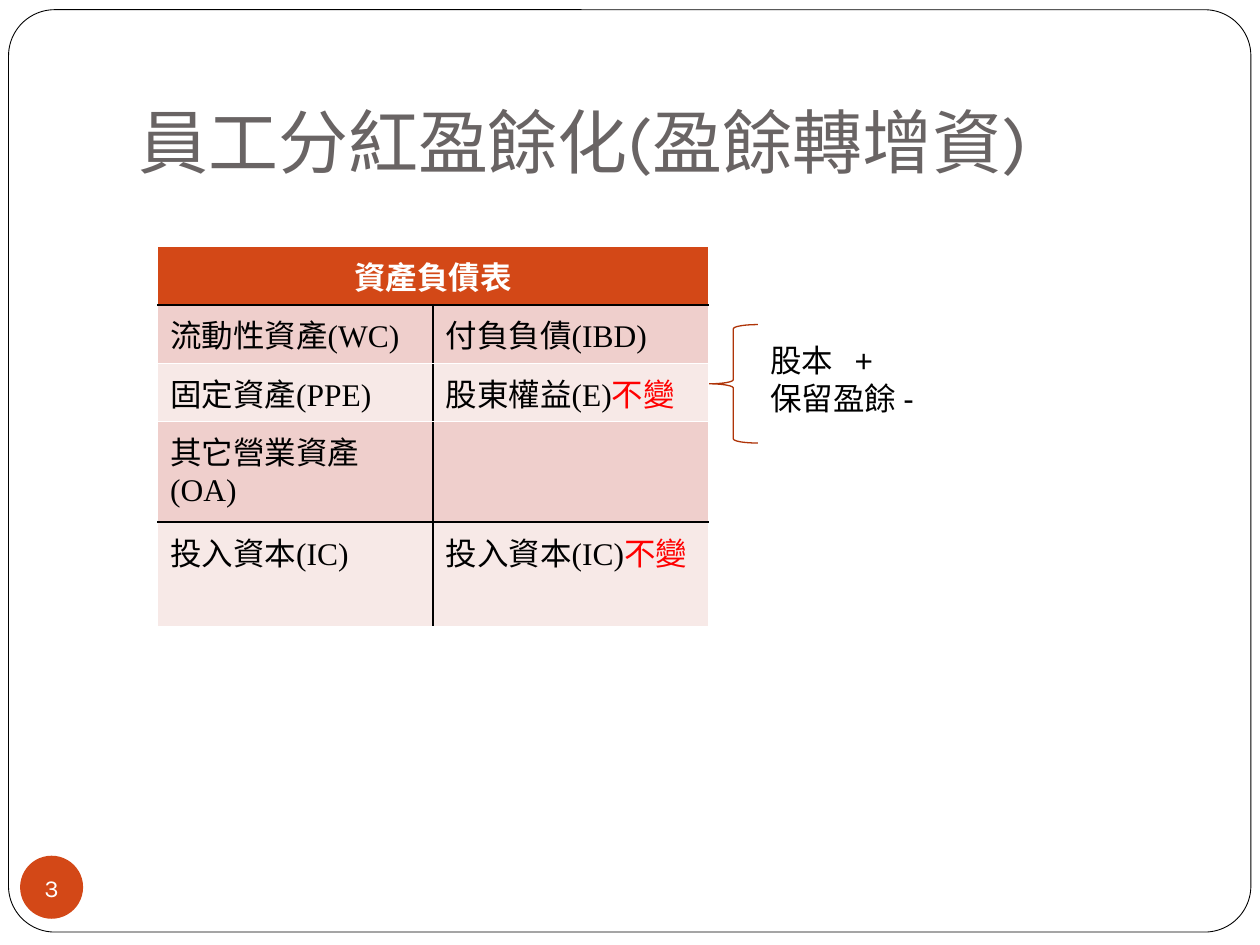
from lxml import etree
from pptx import Presentation
from pptx.dml.color import RGBColor
from pptx.enum.shapes import MSO_SHAPE
from pptx.enum.text import MSO_ANCHOR, PP_ALIGN
from pptx.oxml.ns import qn
from pptx.util import Inches, Pt

ROUNDED, OVAL, BRACE = MSO_SHAPE.ROUNDED_RECTANGLE, MSO_SHAPE.OVAL, MSO_SHAPE.LEFT_BRACE
TOP, MIDDLE, BOTTOM = MSO_ANCHOR.TOP, MSO_ANCHOR.MIDDLE, MSO_ANCHOR.BOTTOM
LEFT, CENTER = PP_ALIGN.LEFT, PP_ALIGN.CENTER
BLACK, WHITE, RED, ORANGE = "000000", "FFFFFF", "FF0000", "D34817"
color = RGBColor.from_string

presentation = Presentation()
presentation.slide_width, presentation.slide_height = Inches(10), Inches(7.5)
slide = presentation.slides.add_slide(presentation.slide_layouts[6])


def place(left, top, width, height):
    """Turn percentages of the slide's width and height into lengths."""
    across, down = presentation.slide_width / 100, presentation.slide_height / 100
    return int(left * across), int(top * down), int(width * across), int(height * down)


def write(paragraph, runs, size, font, align=LEFT, bold=False):
    """Fill a paragraph with (text, colour) runs."""
    paragraph.alignment = align
    for text, hex_color in runs:
        run = paragraph.add_run()
        run.text = text
        for name, value in {"size": Pt(size), "name": font, "bold": bold}.items():
            setattr(run.font, name, value)
        run.font.color.rgb = color(hex_color)


# Frame, page number and equity brace
shapes = []
for kind, box, fill, line, width in [
    (ROUNDED, (0.68, 1.03, 98.6, 97.6), WHITE, BLACK, 0.5),
    (OVAL, (1.6, 90.55, 5, 6.67), ORANGE, None, 0),
    (BRACE, (56.25, 34.35, 3.9, 12.53), None, "AF3408", 0.75),
]:
    shape = slide.shapes.add_shape(kind, *place(*box))
    shape.shadow.inherit = False
    if fill:
        shape.fill.solid()
        shape.fill.fore_color.rgb = color(fill)
    else:
        shape.fill.background()
    if line:
        shape.line.color.rgb = color(line)
        shape.line.width = Pt(width)
    else:
        shape.line.fill.background()
    shapes.append(shape)
page_frame, page_number, equity_brace = shapes
page_frame.adjustments[0] = 0.05

number_frame = page_number.text_frame
number_format = {"word_wrap": False, "vertical_anchor": MIDDLE, "margin_left": 0,
                 "margin_right": 0, "margin_top": 0, "margin_bottom": 0}
for name, value in number_format.items():
    setattr(number_frame, name, value)
write(number_frame.paragraphs[0], [("3", WHITE)], 14, "Karla", CENTER)

# Title and equity note
for box, anchor, bottom, lines, size, font, hex_color in [
    ((10, 4, 85, 16.67), BOTTOM, 0.1, ["員工分紅盈餘化(盈餘轉增資)"], 40, "Karla", "696464"),
    ((60.15, 35.4, 15.6, 9.33), TOP, 0.05, ["股本\t+", "保留盈餘 -"], 18, "Arial", BLACK),
]:
    frame = slide.shapes.add_textbox(*place(*box)).text_frame
    text_format = {"word_wrap": True, "vertical_anchor": anchor, "margin_bottom": Inches(bottom)}
    for name, value in text_format.items():
        setattr(frame, name, value)
    for index, line in enumerate(lines):
        paragraph = frame.add_paragraph() if index else frame.paragraphs[0]
        if "\t" in line:
            tabs = etree.SubElement(paragraph._p.get_or_add_pPr(), qn("a:tabLst"))
            etree.SubElement(tabs, qn("a:tab"), pos=str(Inches(0.67)), algn="l")
        write(paragraph, [(line, hex_color)], size, font)

# Balance sheet
rows = [
    [[("資產負債表", WHITE)], []],
    [[("流動性資產(WC)", BLACK)], [("付負負債(IBD)", BLACK)]],
    [[("固定資產(PPE)", BLACK)], [("股東權益(E)", BLACK), ("不變", RED)]],
    [[("其它營業資產(OA)", BLACK)], []],
    [[("投入資本(IC)", BLACK)], [("投入資本(IC)", BLACK), ("不變", RED)]],
]
row_shares = [6.17, 6.17, 6.17, 10.67, 11]
rules_below = {0, 3}
table_box = place(12.5, 26.1, 43.75, sum(row_shares))
table = slide.shapes.add_table(len(rows), 2, *table_box).table
for row, share in zip(table.rows, row_shares):
    row.height = place(0, 0, 0, share)[3]
table.cell(0, 0).merge(table.cell(0, 1))

for r, row in enumerate(rows):
    for c, runs in enumerate(row):
        cell = table.cell(r, c)
        header = r == 0
        black_sides = {
            "lnL": not header and c == 1,
            "lnR": not header and c == 0,
            "lnT": r - 1 in rules_below,
            "lnB": r in rules_below,
        }
        properties = cell._tc.get_or_add_tcPr()
        for side, black in black_sides.items():
            border = etree.SubElement(properties, qn(f"a:{side}"), w=str(Pt(1.47 if black else 0.45)))
            fill = etree.SubElement(border, qn("a:solidFill"))
            etree.SubElement(fill, qn("a:srgbClr"), val=BLACK if black else WHITE)
        cell.fill.solid()
        cell.fill.fore_color.rgb = color(ORANGE if header else "EFCFCC" if r % 2 else "F7E9E7")
        write(cell.text_frame.paragraphs[0], runs, 18, "Times New Roman",
              CENTER if header else LEFT, header)

presentation.save("out.pptx")
